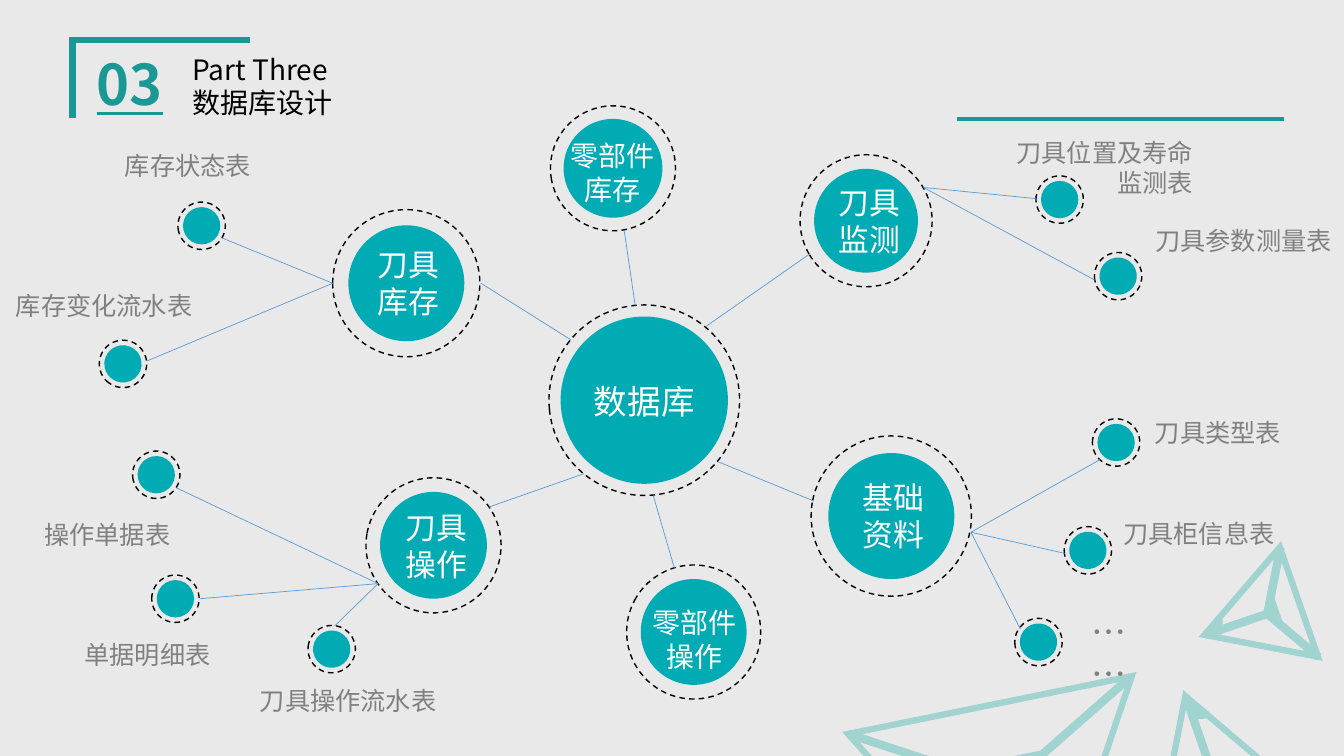
from lxml import etree
from pptx import Presentation, util as u
from pptx.dml.color import RGBColor
from pptx.enum import dml, shapes, text
from pptx.oxml import ns

# Colours and font
PAPER = RGBColor(0xE9, 0xE9, 0xE9)
GREEN = RGBColor(0x1A, 0x98, 0x95)
PALE = RGBColor(0xA1, 0xD3, 0xD0)
TEAL = RGBColor(0x00, 0xAB, 0xB4)
BLUE = RGBColor(0x5B, 0x9B, 0xD5)
GREY = RGBColor(0x80, 0x80, 0x80)
BLACK = RGBColor(0, 0, 0)
WHITE = RGBColor(255, 255, 255)
FONT = "Noto Sans CJK SC"

# Content: positions are in inches
# Circles: centre x, centre y, disc diameter, ring diameter, rotation
HUBS = [
    (6.39, 3.97, 1.66, 1.89, 354.5),
    (4.03, 2.81, 1.15, 1.46, 0),
    (4.3, 5.41, 1.06, 1.34, 10.2),
    (8.59, 2.19, 1.03, 1.31, 329.8),
    (6.08, 1.67, 0.98, 1.24, 349.7),
    (8.84, 5.12, 1.25, 1.59, 11.2),
    (6.88, 6.27, 1.05, 1.33, 28.2),
]
# Small circles: centre x, centre y, rotation
TABLES = [
    (1.55, 4.71, 347.7), (1.74, 5.94, 0), (3.29, 6.44, 6.7),
    (10.51, 1.98, 0), (11.09, 2.74, 351.7), (2, 2.24, 346.2),
    (1.22, 3.61, 306.6), (11.07, 4.39, 0), (10.79, 5.46, 351.7),
    (10.3, 6.37, 351.7),
]
TABLE_DISC, TABLE_RING = 0.37, 0.47

# Links from the central database to each hub
SPOKES = [
    ((5.66, 3.37), (4.77, 2.81)), ((6.3, 3.03), (6.19, 2.28)),
    ((7, 3.24), (8.03, 2.52)), ((7.12, 4.58), (8.07, 4.97)),
    ((6.48, 4.92), (6.69, 5.64)), ((5.79, 4.7), (4.85, 5.03)),
]
# Links from one point of a hub to its tables
FANS = {
    (3.3, 2.81): [(2.2, 2.36), (1.46, 3.58)],
    (3.75, 5.79): [(1.75, 4.84), (1.98, 5.94), (3.32, 6.21)],
    (9.16, 1.86): [(10.27, 1.97), (10.86, 2.78)],
    (9.63, 5.28): [(10.91, 4.56), (10.56, 5.49), (10.12, 6.24)],
}

LEFT, CENTER, RIGHT = text.PP_ALIGN.LEFT, text.PP_ALIGN.CENTER, text.PP_ALIGN.RIGHT
NUMBER = {"size": u.Pt(40), "bold": True, "underline": True}
# Texts: box, lines, font format, colour, alignment, wrap
TEXTS = [
    ((0.86, 0.44, 0.95, 0.77), ["03"], NUMBER, GREEN, LEFT, True),
    ((1.81, 0.47, 2.4, 0.77), ["Part Three", "数据库设计"], {"size": u.Pt(20)}, BLACK, LEFT, True),
    ((5.73, 3.73, 1.32, 0.5), ["数据库"], {"size": u.Pt(24)}, WHITE, CENTER, True),
    ((10.61, 6.01, 0.77, 0.52), ["……"], {"size": u.Pt(25)}, GREY, CENTER, True),
]
HUB_LABELS = [
    ((3.64, 2.39, 0.82, 0.84), ["刀具", "库存"], 22),
    ((5.56, 1.33, 1.04, 0.77), ["零部件", "库存"], 20),
    ((8.21, 1.77, 0.82, 0.84), ["刀具", "监测"], 22),
    ((8.45, 4.7, 0.82, 0.84), ["基础", "资料"], 22),
    ((6.37, 5.96, 1.04, 0.77), ["零部件", "操作"], 20),
    ((3.92, 5, 0.82, 0.84), ["刀具", "操作"], 22),
]
TABLE_LABELS = [
    ((9.87, 1.31, 2.06, 0.71), ["刀具位置及寿命", "监测表"], RIGHT),
    ((11.36, 2.19, 1.97, 0.4), ["刀具参数测量表"], LEFT),
    ((1.14, 1.44, 1.46, 0.4), ["库存状态表"], LEFT),
    ((0.06, 2.83, 1.97, 0.4), ["库存变化流水表"], LEFT),
    ((0.34, 5.1, 1.46, 0.4), ["操作单据表"], LEFT),
    ((0.74, 6.29, 1.46, 0.4), ["单据明细表"], LEFT),
    ((2.48, 6.75, 1.97, 0.4), ["刀具操作流水表"], LEFT),
    ((11.35, 4.09, 1.46, 0.4), ["刀具类型表"], CENTER),
    ((11.03, 5.09, 1.72, 0.4), ["刀具柜信息表"], CENTER),
]
TEXTS += [(at, lines, {"size": u.Pt(size)}, WHITE, CENTER, False)
          for at, lines, size in HUB_LABELS]
TEXTS += [(at, lines, {"size": u.Pt(18)}, GREY, align, False)
          for at, lines, align in TABLE_LABELS]

# Decoration: triangles (box, rotation, fill, line width), struts, darts
TRIANGLES = [
    ((11.23, 6.87, 1.47, 1.26), 340.7, PAPER, 4.5),
    ((8.63, 6.97, 2.87, 2.47), 168.5, PAPER, 4.5),
    ((11.84, 5.64, 1.15, 0.99), 250.8, PAPER, 4.5),
    ((9.58, 7.53, 0.75, 0.23), 168.5, PALE, 1),
    ((12.48, 6.02, 0.3, 0.09), 250.8, PALE, 1),
]
STRUTS = [
    ((11.76, 6.91), (12.03, 7.69)), ((11.22, 6.71), (9.98, 7.8)),
    ((8.41, 7.28), (9.99, 7.8)), ((11.95, 6.3), (12.57, 6.09)),
    ((13.08, 6.52), (12.57, 6.09)), ((12.7, 5.43), (12.57, 6.09)),
]
DARTS = [
    [(11.86, 7.13), (11.98, 7.12), (11.81, 6.98)],
    [(12.12, 6.22), (12.12, 6.13), (12.01, 6.26)],
]
CORNER = [(0.72, 1.17), (0.72, 0.4), (2.48, 0.4)]


def lengths(inches):
    return [u.Cm(value * 2.54) for value in inches]


def paint(shape, fill=None, line=None, width=1, dash=None):
    shape.shadow.inherit = False
    if fill is None:
        shape.fill.background()
    else:
        shape.fill.solid()
        shape.fill.fore_color.rgb = fill
    if line is None:
        shape.line.fill.background()
        return
    shape.line.color.rgb = line
    for name, value in {"width": u.Pt(width), "dash_style": dash}.items():
        setattr(shape.line, name, value)
    miter = etree.SubElement(shape.line._get_or_add_ln(), ns.qn("a:miter"))
    miter.set("lim", "800000")


def add_preset(kind, at, rotation, **look):
    shape = page.shapes.add_shape(kind, *lengths(at))
    shape.rotation = rotation
    paint(shape, **look)


def add_outline(points, closed, **look):
    start, *others = [lengths(point) for point in points]
    builder = page.shapes.build_freeform(*start)
    builder.add_line_segments(others, close=closed)
    paint(builder.convert_to_shape(), **look)


def add_line(start, end, color, width):
    line = page.shapes.add_connector(
        shapes.MSO_CONNECTOR.STRAIGHT, *lengths(start + end))
    line.line.color.rgb = color
    line.line.width = u.Pt(width)
    etree.SubElement(line._element.spPr, ns.qn("a:effectLst"))


def add_circle(x, y, disc, ring, rotation):
    looks = [(disc, {"fill": TEAL}),
             (ring, {"line": BLACK, "dash": dml.MSO_LINE.DASH})]
    for size, look in looks:
        add_preset(shapes.MSO_SHAPE.OVAL, (x - size / 2, y - size / 2, size, size),
                   rotation, **look)


def add_text(at, lines, style, color, align, wrap):
    box = page.shapes.add_textbox(*lengths(at))
    frame = box.text_frame
    frame.word_wrap = wrap
    frame.auto_size = text.MSO_AUTO_SIZE.SHAPE_TO_FIT_TEXT
    frame.text = "\n".join(lines)
    for para in frame.paragraphs:
        para.alignment = align
        for span in para.runs:
            for name, value in {"name": FONT, **style}.items():
                setattr(span.font, name, value)
            span.font.color.rgb = color
            east_asian = etree.SubElement(span._r.get_or_add_rPr(), ns.qn("a:ea"))
            east_asian.set("typeface", FONT)


# Page
deck = Presentation()
deck.slide_width, deck.slide_height = lengths((13.33, 7.5))
page = deck.slides.add_slide(deck.slide_layouts[6])
page.background.fill.solid()
page.background.fill.fore_color.rgb = PAPER

# Decoration
add_outline(CORNER, False, line=GREEN, width=4.5)
for at, rotation, fill, width in TRIANGLES:
    add_preset(shapes.MSO_SHAPE.ISOSCELES_TRIANGLE, at, rotation,
               fill=fill, line=PALE, width=width)
for start, end in STRUTS:
    add_line(start, end, PALE, 6)
for points in DARTS:
    add_outline(points, True, fill=PALE, line=PALE)
add_line((9.49, 1.18), (12.74, 1.18), GREEN, 2.25)

# Circles
for hub in HUBS:
    add_circle(*hub)
for x, y, rotation in TABLES:
    add_circle(x, y, TABLE_DISC, TABLE_RING, rotation)

# Links
fan_links = [(start, end) for start, ends in FANS.items() for end in ends]
for start, end in SPOKES + fan_links:
    add_line(start, end, BLUE, 0.5)

# Texts
for item in TEXTS:
    add_text(*item)

deck.save("out.pptx")
